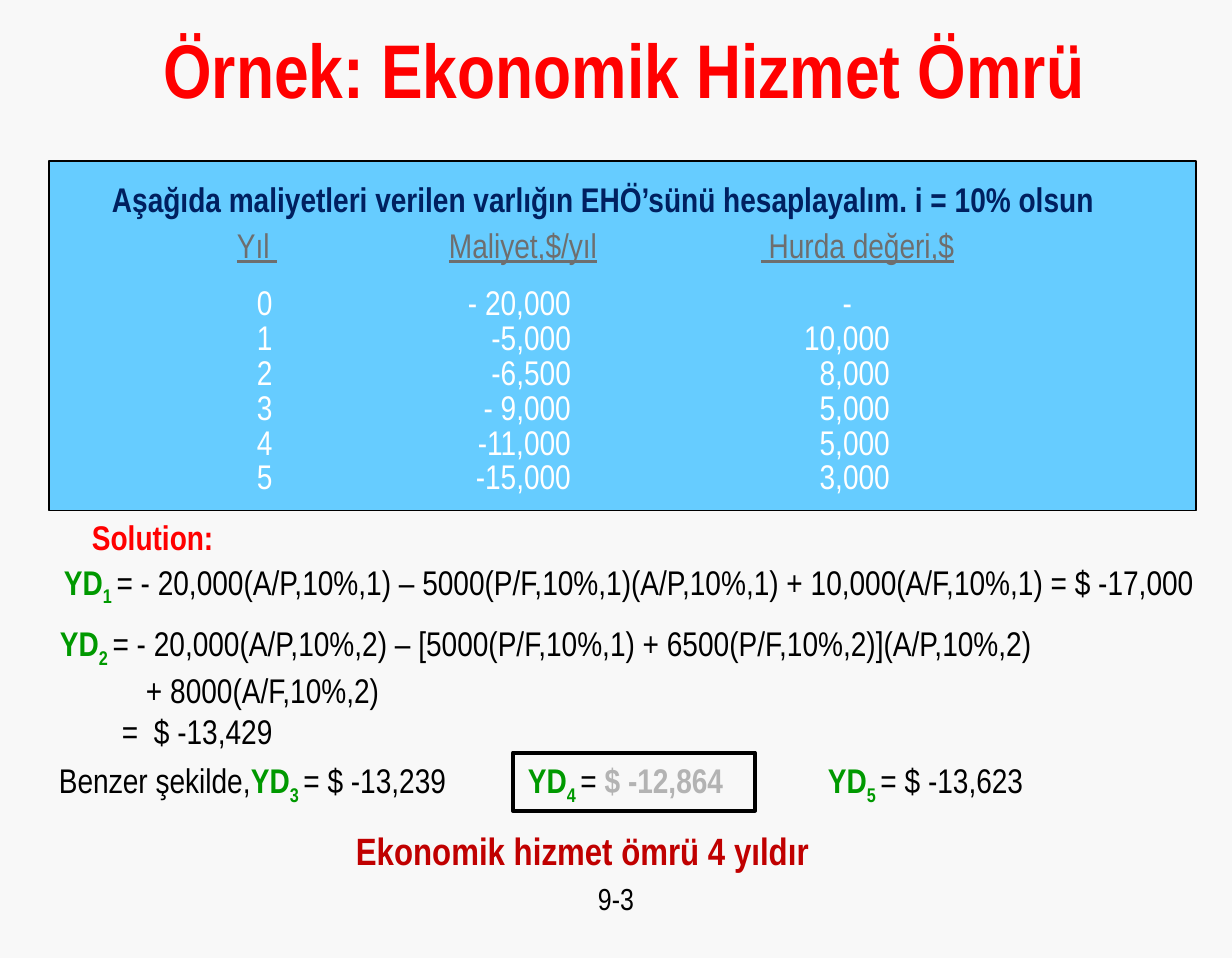
from pptx import Presentation
from pptx.dml.color import RGBColor
from pptx.enum.shapes import MSO_SHAPE
from pptx.enum.text import MSO_ANCHOR as ANCHOR, PP_ALIGN as ALIGN
from pptx.oxml.ns import qn
from pptx.util import Inches, Pt

FONT = "Arial Narrow"
BACKGROUND = RGBColor(0xF8, 0xF8, 0xF8)
BLACK = RGBColor(0, 0, 0)
WHITE = RGBColor(0xFF, 0xFF, 0xFF)
RED = RGBColor(0xFF, 0, 0)
DARK_RED = RGBColor(0xC0, 0, 0)
NAVY = RGBColor(0, 0x20, 0x60)
GREEN = RGBColor(0, 0x99, 0)
SKY = RGBColor(0x66, 0xCC, 0xFF)
GREY = RGBColor(0x6E, 0x6E, 0x6E)
SILVER = RGBColor(0xB3, 0xB3, 0xB3)
NO_STYLE = "{2D5ABB26-0587-4C30-8999-92F81FD0307C}"


def yd(year):
    """Runs for the green YD symbol with its year as subscript."""
    return [("YD", GREEN, True), (f"{year} ", GREEN, True, "sub")]


# (left, top, width, height), size, alignment, paragraphs of (indent, runs)
TEXTS = [
    ((37, 11, 1174, 114), 40, ALIGN.CENTER,
     [(0, [("Örnek: Ekonomik Hizmet Ömrü", RED, True)])]),
    ((112, 178, 1000, 40), 18, ALIGN.LEFT,
     [(0, [("Aşağıda maliyetleri verilen varlığın EHÖ’sünü hesaplayalım. i = 10% olsun",
            NAVY, True)])]),
    ((92, 516, 140, 40), 18, ALIGN.LEFT, [(0, [("Solution:", RED, True)])]),
    ((64, 561, 1150, 42), 18, ALIGN.LEFT,
     [(0, yd(1) + [("= - 20,000(A/P,10%,1) – 5000(P/F,10%,1)(A/P,10%,1) "
                    "+ 10,000(A/F,10%,1) = $ -17,000", BLACK)])]),
    ((60, 623, 1150, 130), 18, ALIGN.LEFT,
     [(0, yd(2) + [("= - 20,000(A/P,10%,2) – [5000(P/F,10%,1) "
                    "+ 6500(P/F,10%,2)](A/P,10%,2)", BLACK)]),
      (86, [("+ 8000(A/F,10%,2)", BLACK)]),
      (62, [("=  $ -13,429", BLACK)])]),
    ((59, 760, 430, 42), 18, ALIGN.LEFT,
     [(0, [("Benzer şekilde,", BLACK)] + yd(3) + [("= $ -13,239", BLACK)])]),
    ((828, 760, 230, 42), 18, ALIGN.LEFT,
     [(0, yd(5) + [("= $ -13,623", BLACK)])]),
    ((356, 828, 480, 44), 20, ALIGN.LEFT,
     [(0, [("Ekonomik hizmet ömrü 4 yıldır", DARK_RED, True)])]),
    ((534, 880, 164, 36), 16, ALIGN.CENTER, [(0, [("9-3", BLACK)])]),
]
BEST_YEAR = yd(4) + [("= ", BLACK), ("$ -12,864", SILVER, True)]

HEADERS = ["Yıl ", "Maliyet,$/yıl", " Hurda değeri,$"]
COSTS = [
    ("0", "- 20,000", "-"),
    ("1", "-5,000", "10,000"),
    ("2", "-6,500", "8,000"),
    ("3", "- 9,000", "5,000"),
    ("4", "-11,000", "5,000"),
    ("5", "-15,000", "3,000"),
]
COL_WIDTHS = [212, 312, 200]
VALUE_INSETS = [20, 190, 71]  # year from the left, amounts from the right
DASH_INSET = 109
HEADER_H, ROW_H = 54, 35
PANEL = (49, 161, 1147, 350)
FRAME = (513, 753, 242, 58)


def px(n):
    return round(n * 914400 / 136.9)


def box(rect):
    return [px(n) for n in rect]


def set_margins(target, left=0, top=0, right=0):
    target.margin_left, target.margin_top = px(left), px(top)
    target.margin_right, target.margin_bottom = px(right), 0


def add_run(p, size, text, color, bold=False, position=None):
    r = p.add_run()
    r.text = text
    f = r.font
    f.name, f.size, f.bold = FONT, Pt(size), bold
    f.color.rgb = color
    if position == "sub":
        r._r.get_or_add_rPr().set("baseline", "-25000")
    return r


def add_text(s, rect, size, align, paragraphs):
    tf = s.shapes.add_textbox(*box(rect)).text_frame
    tf.word_wrap = True
    set_margins(tf)
    tf.vertical_anchor = ANCHOR.MIDDLE if size == 40 else ANCHOR.TOP
    for i, (indent, runs) in enumerate(paragraphs):
        p = tf.add_paragraph() if i else tf.paragraphs[0]
        p.alignment = align
        if indent:
            p._p.get_or_add_pPr().set("marL", str(px(indent)))
        for run in runs:
            add_run(p, size, *run)


def add_rect(s, rect, line_width):
    sp = s.shapes.add_shape(MSO_SHAPE.RECTANGLE, *box(rect))
    sp.shadow.inherit = False
    sp.fill.background()
    sp.line.color.rgb = BLACK
    sp.line.width = Pt(line_width)
    return sp


def add_cost_table(s):
    rows = [HEADERS] + COSTS
    rect = (237, 234, sum(COL_WIDTHS), HEADER_H + ROW_H * len(COSTS))
    frame = s.shapes.add_table(len(rows), len(HEADERS), *box(rect))
    table = frame.table
    table.first_row = table.horz_banding = False
    for style in frame._element.iter(qn("a:tableStyleId")):
        style.text = NO_STYLE
    for col, width in zip(table.columns, COL_WIDTHS):
        col.width = px(width)
    for i, row in enumerate(rows):
        table.rows[i].height = px(ROW_H if i else HEADER_H)
        for j, text in enumerate(row):
            cell = table.cell(i, j)
            cell.fill.background()
            set_margins(cell)
            p = cell.text_frame.paragraphs[0]
            r = add_run(p, 18, text, WHITE if i else GREY)
            if i == 0:
                r.font.underline = True
                continue
            cell.vertical_anchor = ANCHOR.MIDDLE
            p.line_spacing = Pt(18)
            inset = DASH_INSET if text == "-" else VALUE_INSETS[j]
            if j == 0:
                set_margins(cell, left=inset)
            else:
                p.alignment = ALIGN.RIGHT
                set_margins(cell, right=inset)


def main():
    prs = Presentation()
    prs.slide_width, prs.slide_height = Inches(9), Inches(7)
    s = prs.slides.add_slide(prs.slide_layouts[6])
    s.background.fill.solid()
    s.background.fill.fore_color.rgb = BACKGROUND

    panel = add_rect(s, PANEL, 0.75)
    panel.fill.solid()
    panel.fill.fore_color.rgb = SKY
    add_cost_table(s)
    for text in TEXTS:
        add_text(s, *text)

    tf = add_rect(s, FRAME, 2.25).text_frame
    tf.word_wrap = False
    tf.vertical_anchor = ANCHOR.TOP
    set_margins(tf, left=15, top=7)
    p = tf.paragraphs[0]
    p.alignment = ALIGN.LEFT
    for run in BEST_YEAR:
        add_run(p, 18, *run)

    prs.save("out.pptx")


if __name__ == "__main__":
    main()
